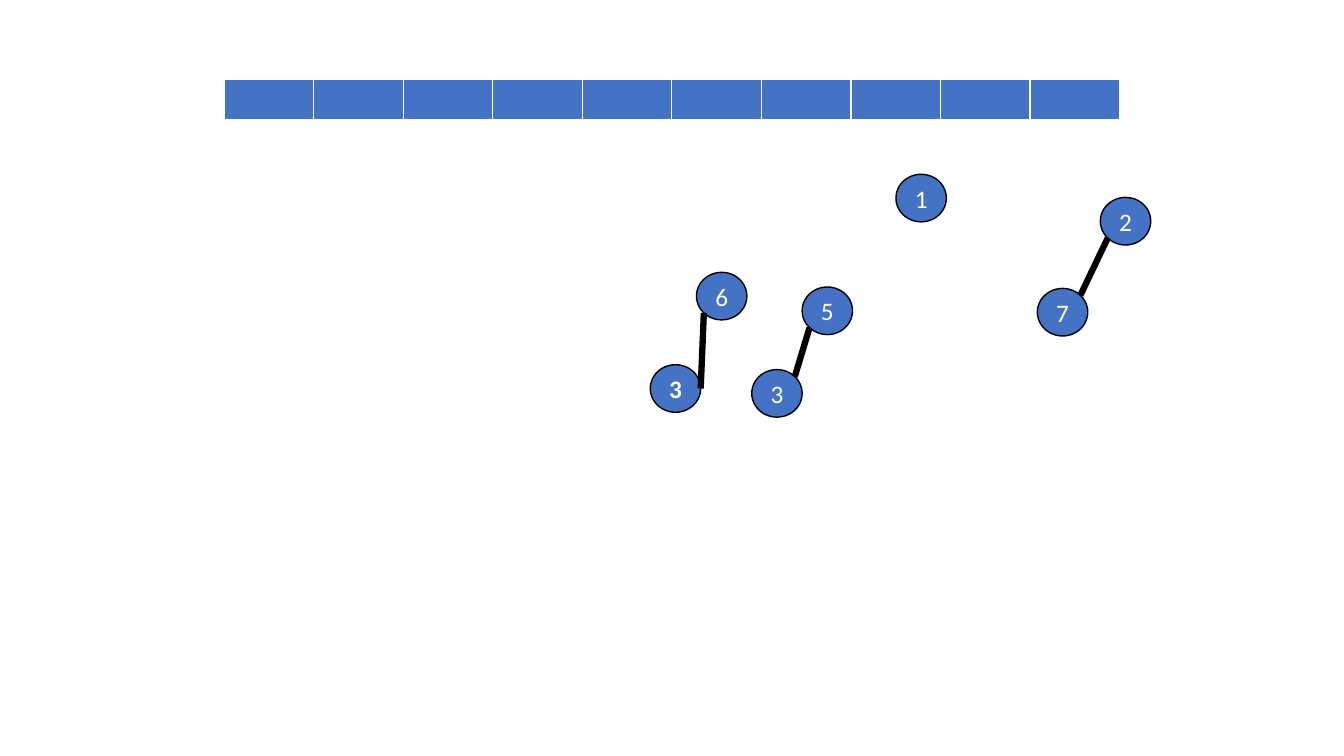
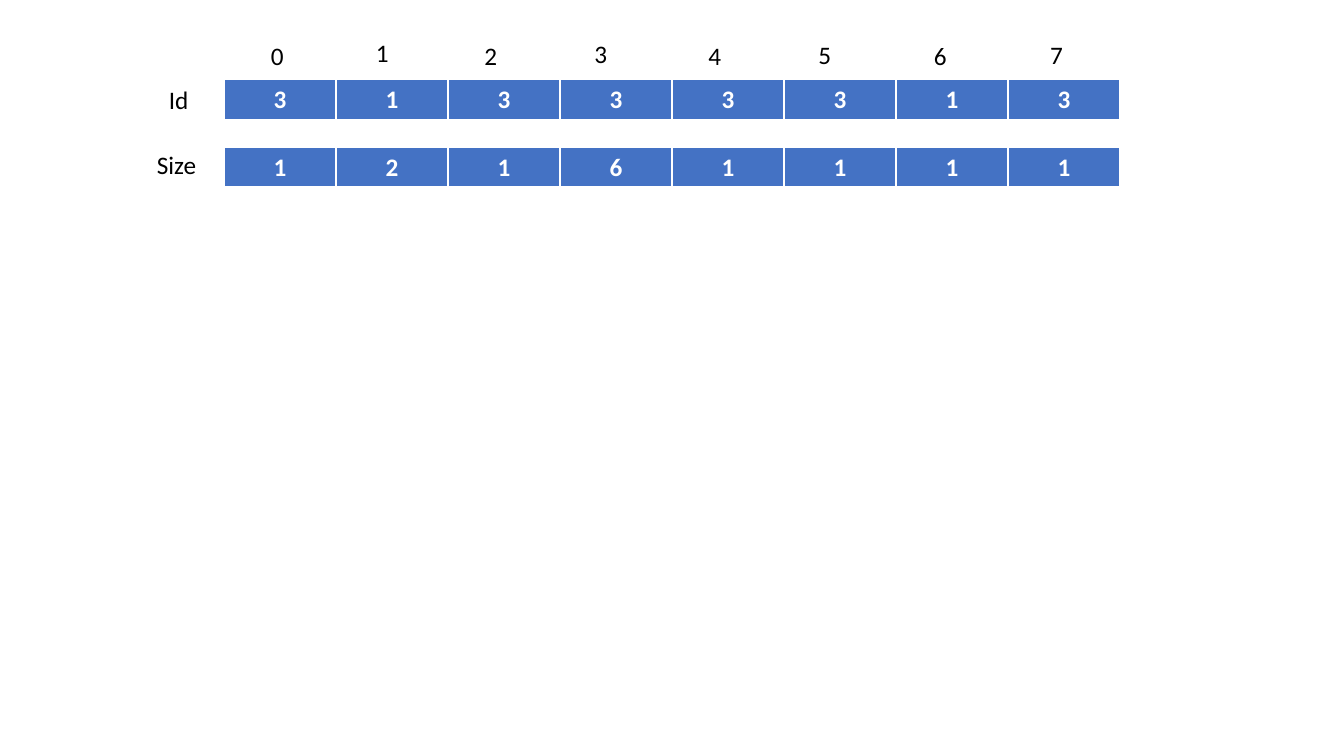
import math
from lxml import etree
from pptx import Presentation
from pptx.dml.color import RGBColor
from pptx.enum import shapes, text
from pptx.oxml import ns
from pptx.util import Pt

COLORS = {"node": "4472C4", "light": "FFFFFF", "dark": "000000"}
FONT = "Calibri"
NODE_W, NODE_H = 36, 34
ROW_LEFT, ROW_TOP, ROW_W, ROW_H = 160, 57, 640, 29.2
ROW_STEP = 48.2
BORDERS = {"lnL": 1, "lnR": 1, "lnT": 1, "lnB": 3}
LOWER_LEFT, RIGHT, UPPER_RIGHT = 135, 0, -45

NODES = {
    "three": ("3", 537, 264),
    "five": ("5", 573, 205),
    "one": ("1", 640, 124.5),
    "seven": ("7", 741, 206),
    "bold three": ("3", 464.5, 260.5),
    "two": ("2", 786, 141),
    "six": ("6", 497.5, 194.5),
}
EDGES = [
    ("three", UPPER_RIGHT, "five"),
    ("seven", UPPER_RIGHT, "two"),
    ("bold three", RIGHT, "six"),
]
INDEX_SPOTS = [(186.5, 25), (261.5, 23), (339, 25), (417.5, 24),
               (499, 25), (577.5, 24.5), (660, 25), (743, 24.5)]


def rgb(name):
    return RGBColor.from_string(COLORS[name])


def put_text(tf, value, color="light", size=18, bold=False,
             align=text.PP_ALIGN.CENTER):
    p = tf.paragraphs[0]
    p.alignment = align
    r = p.add_run()
    r.text = value
    r.font.name = FONT
    r.font.size = Pt(size)
    r.font.bold = bold
    r.font.color.rgb = rgb(color)


def add_node(s, value, x, y, bold=False):
    sp = s.shapes.add_shape(shapes.MSO_SHAPE.FLOWCHART_CONNECTOR,
                            Pt(x), Pt(y), Pt(NODE_W), Pt(NODE_H))
    sp.shadow.inherit = False
    sp.fill.solid()
    sp.fill.fore_color.rgb = rgb("node")
    sp.line.color.rgb = rgb("dark")
    sp.line.width = Pt(1)
    sp.text_frame.vertical_anchor = text.MSO_ANCHOR.MIDDLE
    put_text(sp.text_frame, value, bold=bold)


def rim_point(name, angle):
    _, x, y = NODES[name]
    a = math.radians(angle)
    return (Pt(x + NODE_W / 2 * (1 + math.cos(a))),
            Pt(y + NODE_H / 2 * (1 + math.sin(a))))


def add_edge(s, child, angle, parent):
    cx = s.shapes.add_connector(shapes.MSO_CONNECTOR.STRAIGHT,
                                *rim_point(child, angle),
                                *rim_point(parent, LOWER_LEFT))
    cx.line.color.rgb = rgb("dark")
    cx.line.width = Pt(4.5)
    etree.SubElement(cx._element.spPr, ns.qn("a:effectLst"))


def style_cell(cell):
    tcPr = cell._tc.get_or_add_tcPr()
    for tag, width in BORDERS.items():
        ln = etree.SubElement(tcPr, ns.qn("a:" + tag), w=str(Pt(width)))
        fill = etree.SubElement(ln, ns.qn("a:solidFill"))
        etree.SubElement(fill, ns.qn("a:srgbClr"), val=COLORS["light"])
    cell.fill.solid()
    cell.fill.fore_color.rgb = rgb("node")


def add_array(s, values, row=0):
    tbl = s.shapes.add_table(1, len(values), Pt(ROW_LEFT),
                             Pt(ROW_TOP + row * ROW_STEP),
                             Pt(ROW_W), Pt(ROW_H)).table
    tbl.horz_banding = False
    for cell, value in zip(tbl.rows[0].cells, values):
        style_cell(cell)
        if value:
            put_text(cell.text_frame, value, bold=True)


def add_label(s, value, x, y, w=25):
    tf = s.shapes.add_textbox(Pt(x), Pt(y), Pt(w), Pt(29)).text_frame
    tf.word_wrap = True
    put_text(tf, value, color="dark", align=text.PP_ALIGN.LEFT)


def build_forest(s):
    for name, (value, x, y) in NODES.items():
        add_node(s, value, x, y, bold=name == "bold three")
    for edge in EDGES:
        add_edge(s, *edge)
    add_array(s, [""] * 10)


def build_arrays(s):
    add_array(s, "31333313")
    add_array(s, "12161111", row=1)
    add_label(s, "Id", 113.5, 57, w=36)
    add_label(s, "Size", 105, 103, w=53)
    for i, (x, y) in enumerate(INDEX_SPOTS):
        add_label(s, str(i), x, y)


def main():
    prs = Presentation()
    prs.slide_width, prs.slide_height = Pt(960), Pt(540)
    for build in (build_forest, build_arrays):
        build(prs.slides.add_slide(prs.slide_layouts[6]))
    prs.save("out.pptx")


if __name__ == "__main__":
    main()
